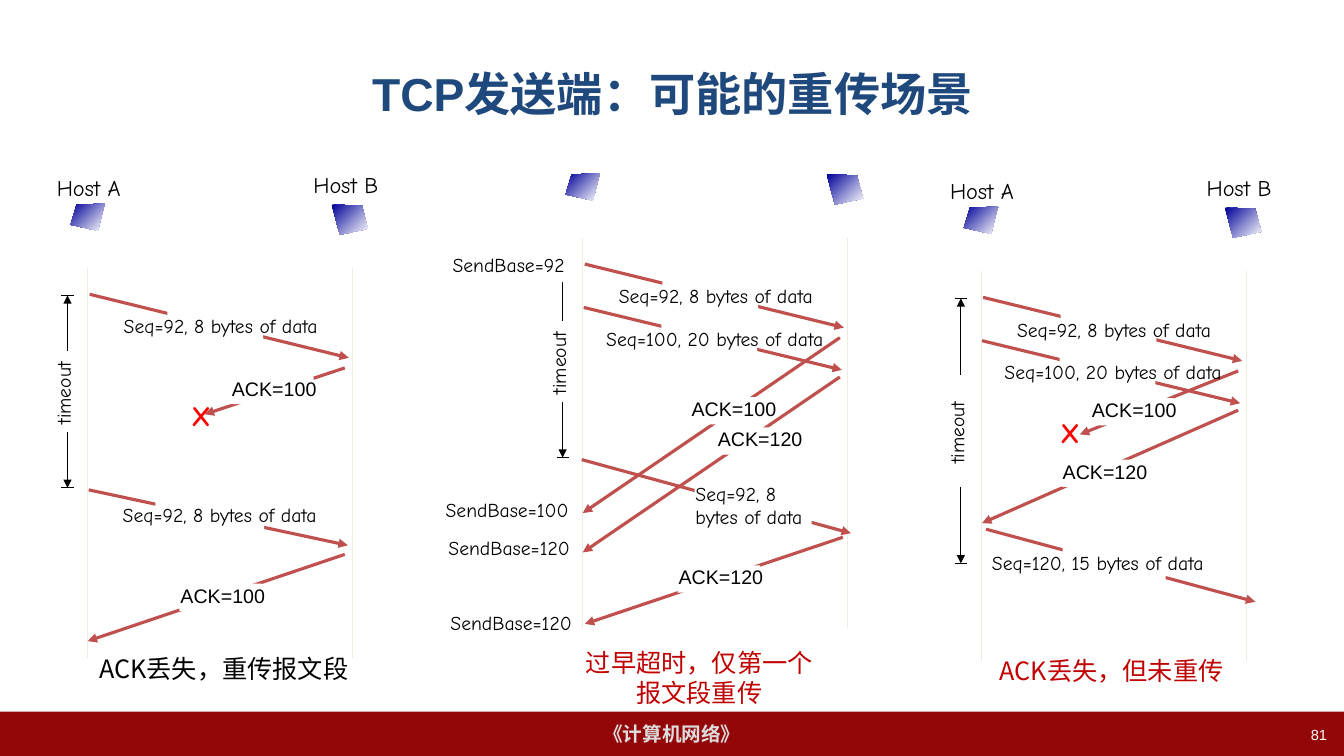
"""Build the slide on TCP sender retransmission scenes."""
from lxml import etree
from pptx import Presentation
from pptx.dml.color import RGBColor
from pptx.enum.shapes import MSO_CONNECTOR, MSO_SHAPE
from pptx.enum.text import MSO_ANCHOR, MSO_AUTO_SIZE, PP_ALIGN
from pptx.oxml.ns import qn
from pptx.util import Inches, Pt

LEFT, MID, RIGHT = PP_ALIGN.LEFT, PP_ALIGN.CENTER, PP_ALIGN.RIGHT
CENTER = MSO_ANCHOR.MIDDLE
GROW = MSO_AUTO_SIZE.SHAPE_TO_FIT_TEXT
RECT, LINE = MSO_SHAPE.RECTANGLE, MSO_CONNECTOR.STRAIGHT
HAND, SANS, CJK = "Comic Neue", "Arial", "Noto Sans CJK SC"
RED, BLACK, WHITE, PALE = "C0504D", "000000", "FFFFFF", "EEECE1"
WIDE, HIGH = 13.33, 7.5
SPAN, DROP = 2.63, 3.87

TITLE = "TCP发送端：可能的重传场景"
COURSE, PAGE = "《计算机网络》", "81"

GAPS = {"ack": (.09, .05, .82, .27), "seq": (.68, -.06, .95, .44),
        "more": (.78, -.06, .95, .44), "again": (.57, -.09, 1.08, .47),
        "fold": (.09, -.04, 1.16, .56), "next": (.8, -.09, 1.02, .56)}

FIRST = ((.02, .26, 2.59, .89), "Seq=92, 8 bytes of data", (.11, .41, 2.42), "seq")
SECOND = ((.01, .69, 2.57, 1.31), "Seq=100, 20 bytes of data", (0, .83, 2.62), "more")

SCENES = [
    {"at": (.87, 2.66), "names": True, "end": 2.18, "arm": .55, "word": .84,
     "bar": True, "lost": (.92, 1.24), "bases": [],
     "note": ("ACK丢失，重传报文段", BLACK, (.81, 6.43, 2.82, .4)),
     "sent": [
         FIRST,
         ((2.55, .99, 1.16, 1.45), "ACK=100", (1.33, 1.03, 1.04), "ack"),
         ((.01, 2.2, 2.58, 2.75), "Seq=92, 8 bytes of data", (.1, 2.28, 2.42), "again"),
         ((2.55, 2.84, 0, 3.7), "ACK=100", (.82, 3.08, 1.04), "ack")]},
    {"at": (5.78, 2.36), "names": False, "end": 2.18, "arm": .55, "word": .84,
     "bar": False, "lost": None,
     "bases": [("SendBase=92", -1.45, .1, 1.43, True),
               ("SendBase=100", -1.51, 2.53, 1.52, False),
               ("SendBase=120", -1.49, 2.91, 1.52, False),
               ("SendBase=120", -1.47, 3.65, 1.52, False)],
     "note": ("过早超时，仅第一个报文段重传", "C00000", (5.59, 6.37, 2.69, .71)),
     "sent": [
         ((-.01, 2.2, 2.66, 2.93), "Seq=92, 8\nbytes of data", (1.02, 2.37, 1.54), "fold"),
         FIRST,
         ((2.55, .99, 0, 2.73), "ACK=100", (.98, 1.53, 1.04), "ack"),
         SECOND,
         ((2.55, 1.38, 0, 3.12), "ACK=120", (1.24, 1.83, 1.04), "ack"),
         ((2.58, 2.97, .02, 3.83), "ACK=120", (.85, 3.2, 1.04), "ack")]},
    {"at": (9.73, 2.69), "names": True, "end": 2.9, "arm": .76, "word": 1.2,
     "bar": True, "lost": (.68, 1.38), "bases": [],
     "note": ("ACK丢失，但未重传", "C00000", (9.74, 6.45, 2.57, .4)),
     "sent": [
         FIRST,
         ((2.55, .99, .98, 1.62), "ACK=100", (1, 1.21, 1.04), "ack"),
         SECOND,
         ((2.55, 1.38, .01, 2.5), "ACK=120", (.71, 1.82, 1.04), "ack"),
         ((.05, 2.56, 2.72, 3.28), "Seq=120, 15 bytes of data", (.01, 2.73, 2.9), "next")]},
]
HOSTS = [("Host A", -.45, -.98, [(.17, -.64), (-.11, -.63), (-.17, -.43), (.1, -.37)]),
         ("Host B", 2.1, -1.01, [(2.42, -.63), (2.72, -.62), (2.78, -.39), (2.5, -.33)])]


def paint(code):
    """Turn a hex string into a colour."""
    return RGBColor.from_string(code)


def style(frame, size, font, color, align=MID, bold=False):
    """Format every run in a text frame."""
    for para in frame.paragraphs:
        para.alignment = align
        for run in para.runs:
            run.font.size, run.font.name, run.font.bold = Pt(size), font, bold
            run.font.color.rgb = paint(color)
            east = etree.SubElement(run.font._element, qn("a:ea"))
            east.set("typeface", CJK)


def write(slide, text, box, size=14, font=HAND, color=BLACK, align=MID,
          wrap=False, bold=False):
    """Add a text box."""
    shape = slide.shapes.add_textbox(*map(Inches, box))
    frame = shape.text_frame
    frame.text = text
    frame.word_wrap, frame.auto_size = wrap, GROW
    style(frame, size, font, color, align, bold)
    return shape


def fill(shape, color):
    """Fill a shape with one colour."""
    shape.fill.solid()
    shape.fill.fore_color.rgb = paint(color)


def block(slide, box, color):
    """Add a plain filled rectangle."""
    shape = slide.shapes.add_shape(RECT, *map(Inches, box))
    shape.shadow.inherit = False
    fill(shape, color)
    shape.line.fill.background()
    return shape


def rule(slide, ends, color, width=.75, head=False):
    """Add a line, with an arrowhead at its end if asked."""
    line = slide.shapes.add_connector(LINE, *map(Inches, ends))
    line.line.color.rgb = paint(color)
    line.line.width = Pt(width)
    if head:
        tip = etree.SubElement(line.line._get_or_add_ln(), qn("a:tailEnd"))
        tip.set("type", "triangle")
    etree.SubElement(line._element.spPr, qn("a:effectLst"))


def host(slide, points):
    """Draw the shaded outline of a host."""
    dots = [(Inches(x), Inches(y)) for x, y in points]
    pen = slide.shapes.build_freeform(*dots[0])
    pen.add_line_segments(dots[1:], close=True)
    shape = pen.convert_to_shape()
    shape.shadow.inherit = False
    shape.line.fill.background()
    shape.fill.gradient()
    shape.fill.gradient_angle = 315
    for stop, place, code in zip(shape.fill.gradient_stops, (0, 1), ("000099", WHITE)):
        stop.position = place
        stop.color.rgb = paint(code)


def timer(slide, scene):
    """Draw the timeout span beside host A."""
    x, y = scene["at"]
    mid, top, end, arm = x - .2, y + .27, y + scene["end"], scene["arm"]
    rule(slide, (mid, top + arm, mid, top), BLACK, head=True)
    rule(slide, (mid, end - arm, mid, end), BLACK, head=True)
    for level in [top, end] if scene["bar"] else [end]:
        rule(slide, (mid - .06, level, mid + .06, level), BLACK)
    word = write(slide, "timeout", (x - .41, y + scene["word"], .44, .81))
    word.text_frame._txBody.bodyPr.set("vert", "eaVert")
    word.rotation = 180


def draw(slide, scene):
    """Draw one scene from its top left corner."""
    x, y = scene["at"]
    for side in (x, x + SPAN):
        rule(slide, (side, y, side, y + DROP), PALE)
    for (a, b, c, d), text, (left, top, wide), kind in scene["sent"]:
        rule(slide, (x + a, y + b, x + c, y + d), RED, 2.25, True)
        dx, dy, w, h = GAPS[kind]
        block(slide, (x + left + dx, y + top + dy, w, h), WHITE)
        long = kind in ("fold", "next")
        write(slide, text, (x + left, y + top, wide, .57 if kind == "fold" else .34),
              font=SANS if kind == "ack" else HAND, align=LEFT if long else MID, wrap=long)
    timer(slide, scene)
    for text, left, top, wide, solid in scene["bases"]:
        base = write(slide, text, (x + left, y + top, wide, .34))
        if solid:
            fill(base, WHITE)
    for name, left, top, points in HOSTS:
        if scene["names"]:
            write(slide, name, (x + left, y + top, .92, .37), 16)
        host(slide, [(x + a, y + b) for a, b in points])
    if scene["lost"]:
        left, top = scene["lost"]
        write(slide, "X", (x + left, y + top, .41, .44), 20, color="FF0000", bold=True)
    text, color, box = scene["note"]
    write(slide, text, box, 18, CJK, color, wrap=True)


def main():
    """Build and save the slide."""
    deck = Presentation()
    deck.slide_width, deck.slide_height = Inches(WIDE), Inches(HIGH)
    slide = deck.slides.add_slide(deck.slide_layouts[5])
    bar = block(slide, (0, 7.06, WIDE, HIGH - 7.06), "940709")
    bar.text_frame.text = COURSE
    bar.text_frame.vertical_anchor = CENTER
    style(bar.text_frame, 14, SANS, "DDDDDD", bold=True)
    title = slide.shapes.title
    title.left, title.top, title.width, title.height = map(Inches, (.67, .3, 12, 1.25))
    title.text_frame.text = TITLE
    title.text_frame.vertical_anchor = CENTER
    style(title.text_frame, 33, SANS, "1F497D", bold=True)
    write(slide, PAGE, (10.15, 7.15, 3.11, .35), 10.5, SANS, WHITE, RIGHT, True)
    for scene in SCENES:
        draw(slide, scene)
    deck.save("out.pptx")


if __name__ == "__main__":
    main()
